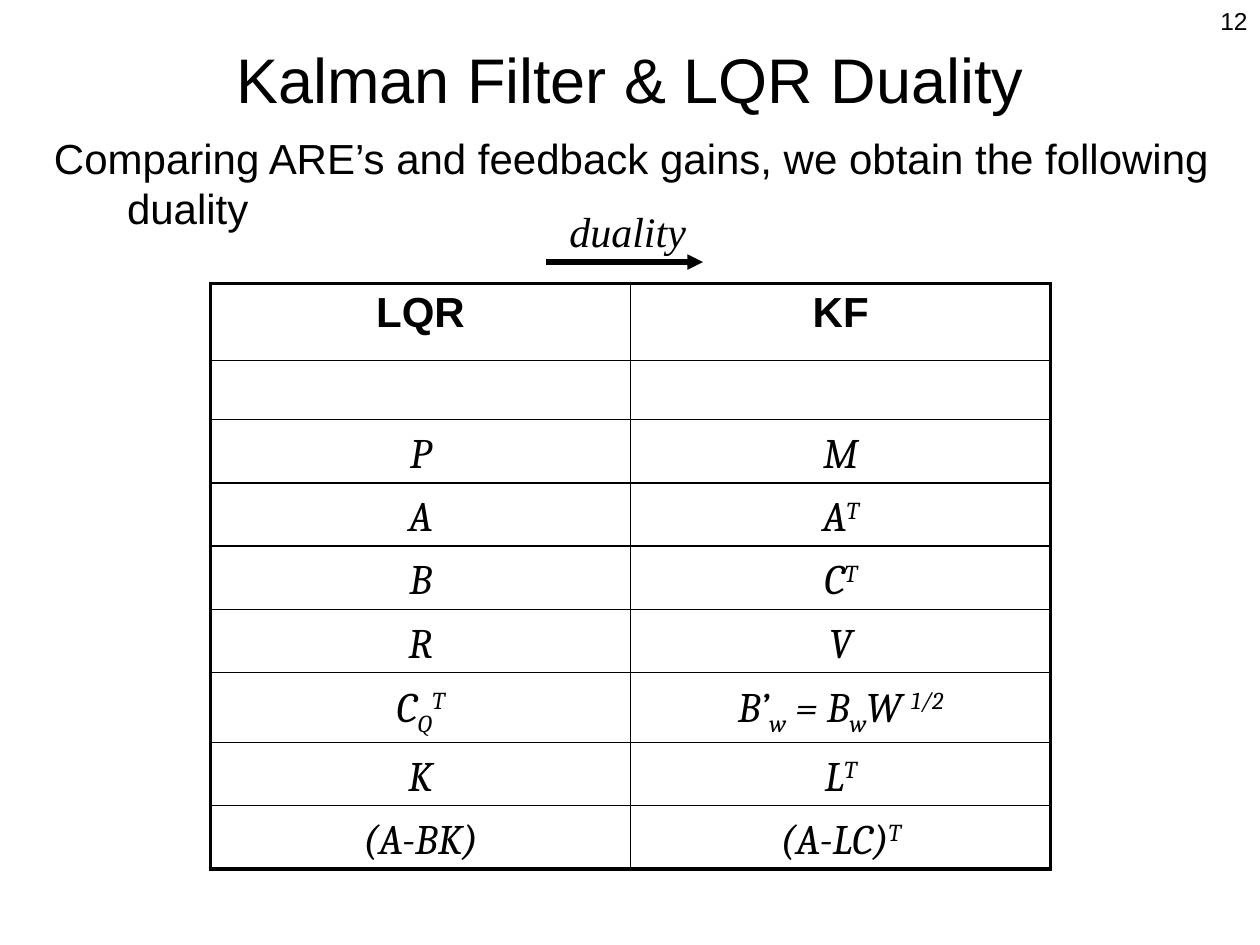
import pptx
import pptx.util
import pptx.dml.color
import pptx.enum.text
import pptx.enum.shapes
from pptx.oxml.ns import qn
from lxml import etree

Inches, Pt = pptx.util.Inches, pptx.util.Pt
ALIGN = pptx.enum.text.PP_ALIGN
ANCHOR = pptx.enum.text.MSO_ANCHOR
FIT = pptx.enum.text.MSO_AUTO_SIZE
BLACK = "000000"

# Runs are split by "|"; a leading ^ raises a run and a leading _ lowers it.
ROWS = [
    ("LQR", "KF"),
    ("", ""),
    ("P", "M"),
    ("A", "A|^T"),
    ("B", "C|^T"),
    ("R", "V"),
    ("C|_Q|^T", "B’|_w| = B|_w|W |^1/2"),
    ("K", "L|^T"),
    ("(A-BK)", "(A-LC)|^T"),
]
HEIGHTS = [0.61, 0.47] + [0.44] * 7
SHIFT = {"^": "30000", "_": "-25000"}
THIN, THICK = 1, 2.25


def color(code):
    return pptx.dml.color.RGBColor.from_string(code)


def style(font, size, face="Arial", bold=False, italic=False):
    font.size, font.name = Pt(size), face
    font.bold, font.italic = bold, italic
    font.color.rgb = color(BLACK)


def label(slide, box, text, size, align=ALIGN.LEFT, anchor=ANCHOR.TOP,
          grow=False, **look):
    """Add one line of text; a growing box fits its text without wrapping."""
    shape = slide.shapes.add_textbox(*map(Inches, box))
    frame = shape.text_frame
    frame.text = text
    frame.word_wrap = not grow
    frame.auto_size = FIT.SHAPE_TO_FIT_TEXT if grow else FIT.NONE
    frame.vertical_anchor = anchor
    para = frame.paragraphs[0]
    para.alignment = align
    style(para.runs[0].font, size, **look)
    return para


def border(cell, widths):
    """Draw the left, right, top and bottom edges, in that order."""
    props = cell._tc.get_or_add_tcPr()
    for spot, (side, width) in enumerate(zip("LRTB", widths)):
        line = etree.Element(qn(f"a:ln{side}"), w=str(Pt(width)))
        fill = etree.SubElement(line, qn("a:solidFill"))
        etree.SubElement(fill, qn("a:srgbClr"), val=BLACK)
        props.insert(spot, line)


def write(cell, text, head):
    para = cell.text_frame.paragraphs[0]
    para.alignment = ALIGN.CENTER
    if not head:
        para.line_spacing = 1.1
        cell.margin_bottom = Inches(0.03)
    for part in filter(None, text.split("|")):
        run = para.add_run()
        run.text = part.lstrip("^_")
        style(run.font, 24, "Arial" if head else "Cambria", head, not head)
        if part[0] in SHIFT:
            run._r.get_or_add_rPr().set("baseline", SHIFT[part[0]])


def grid(slide):
    count, wide = len(ROWS), len(ROWS[0])
    table = slide.shapes.add_table(
        count, wide, Inches(1.67), Inches(2.25),
        Inches(6.67), Inches(sum(HEIGHTS))).table
    table.first_row = table.horz_banding = False
    for r, row in enumerate(ROWS):
        table.rows[r].height = Inches(HEIGHTS[r])
        for c, text in enumerate(row):
            cell = table.cell(r, c)
            write(cell, text, r == 0)
            cell.fill.background()
            outer = (c == 0, c == wide - 1, r == 0, r == count - 1)
            border(cell, [THICK if edge else THIN for edge in outer])


def arrow(slide):
    line = slide.shapes.add_connector(
        pptx.enum.shapes.MSO_CONNECTOR.STRAIGHT,
        Inches(4.33), Inches(2.08), Inches(5.58), Inches(2.08))
    line.line.color.rgb = color(BLACK)
    line.line.width = Pt(3)
    etree.SubElement(line.line._get_or_add_ln(), qn("a:tailEnd"),
                     type="triangle")
    etree.SubElement(line._element.spPr, qn("a:effectLst"))


def main():
    deck = pptx.Presentation()
    deck.slide_width, deck.slide_height = Inches(10), Inches(7.5)
    slide = deck.slides.add_slide(deck.slide_layouts[6])
    label(slide, (7.92, 0, 2.08, 0.5), "12", 14, ALIGN.RIGHT)
    label(slide, (0.75, 0, 8.5, 1.25), "Kalman Filter & LQR Duality", 36,
          ALIGN.CENTER, ANCHOR.MIDDLE)
    intro = label(
        slide, (0.33, 1, 9.42, 6.25),
        "Comparing ARE’s and feedback gains, we obtain the following duality",
        24)
    props = intro._p.get_or_add_pPr()
    props.set("marL", str(Inches(0.58)))
    props.set("indent", str(Inches(-0.58)))
    grid(slide)
    arrow(slide)
    label(slide, (4.42, 1.58, 1.15, 0.5), "duality", 24, grow=True,
          face="Times New Roman", italic=True)
    deck.save("out.pptx")


if __name__ == "__main__":
    main()
